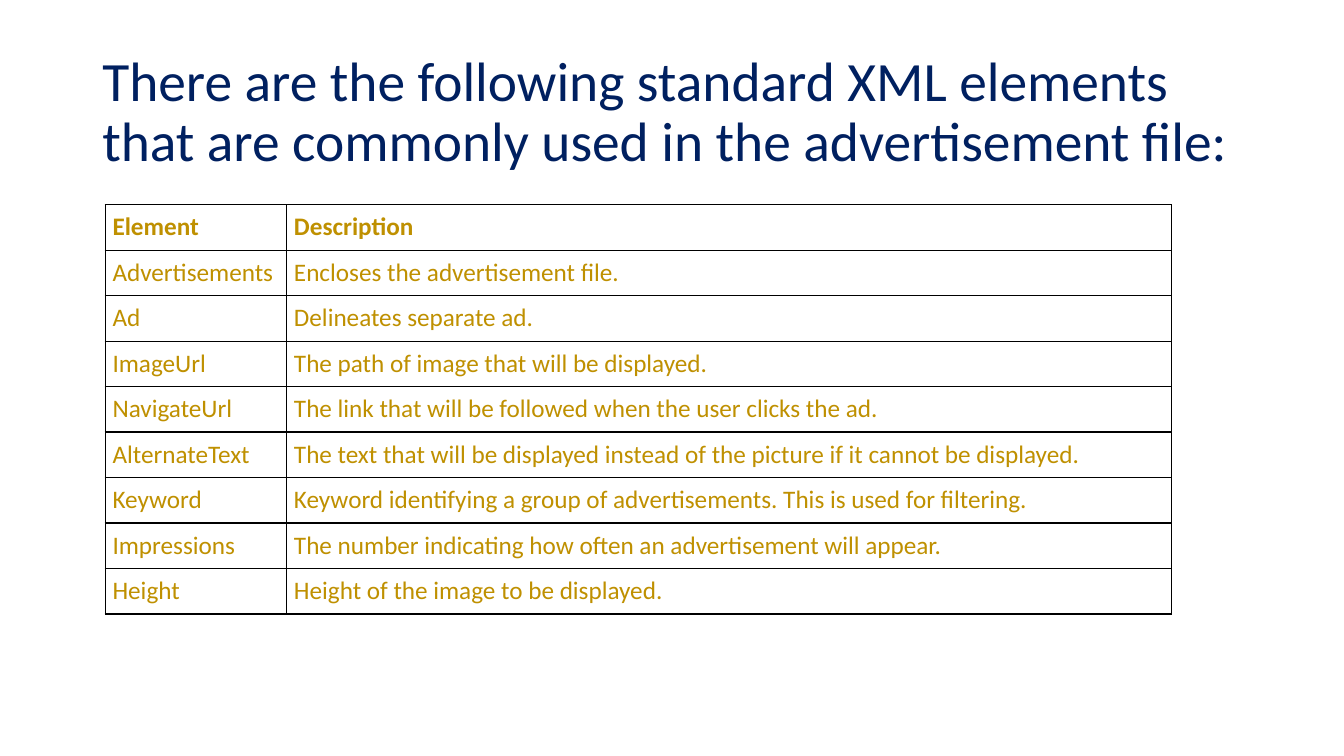
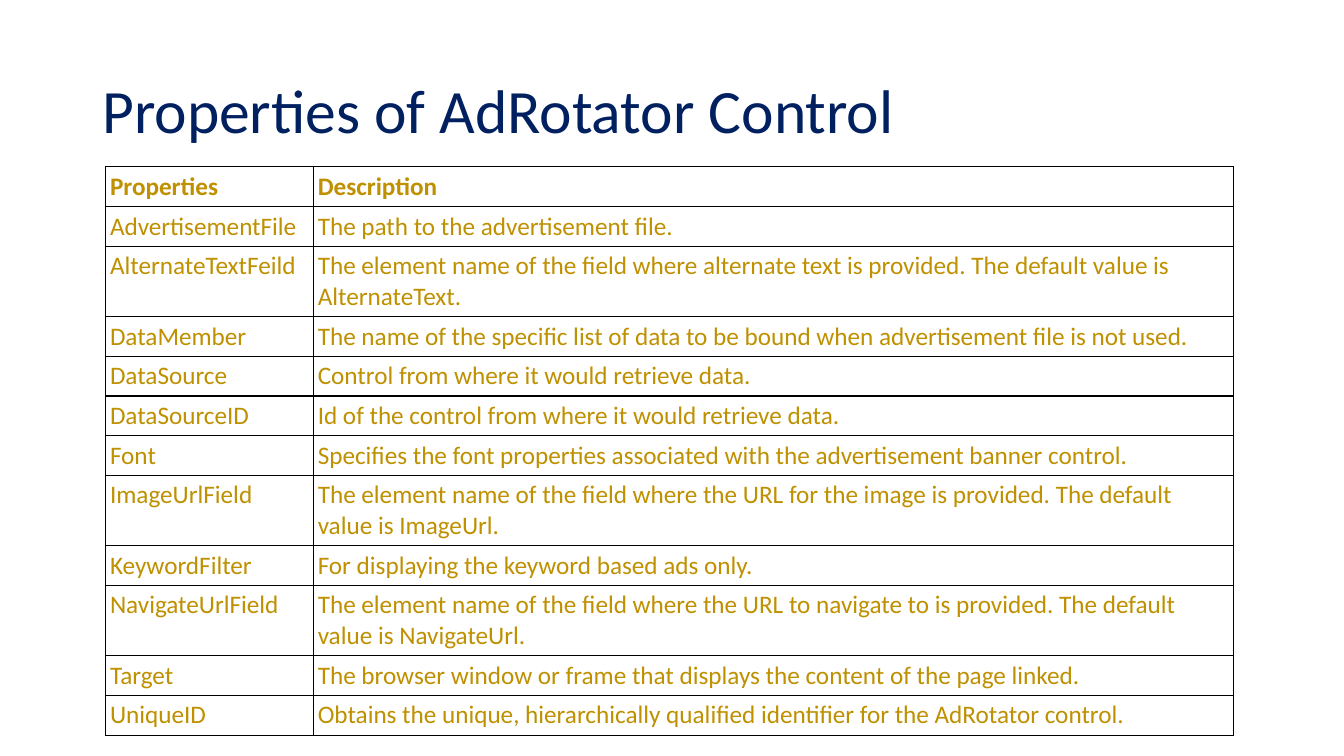
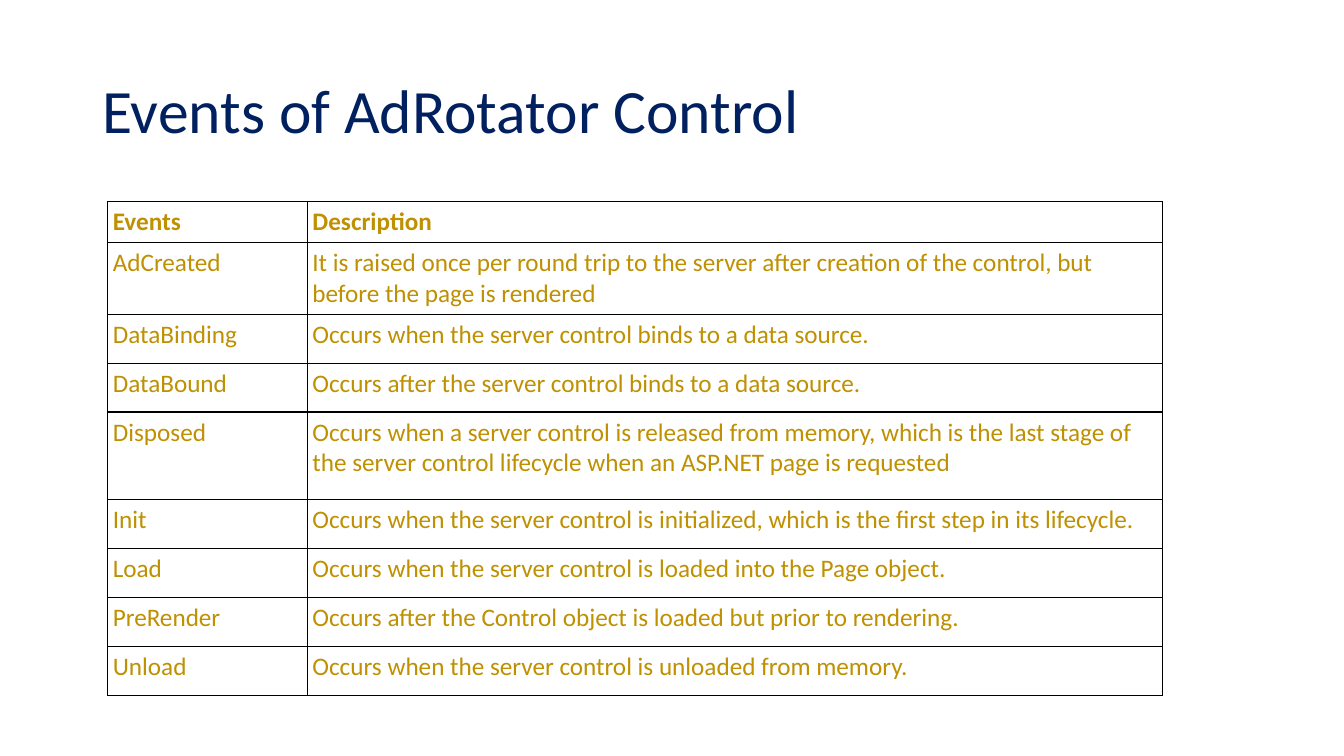
import pptx
import pptx.dml.color
import pptx.enum.text
import pptx.oxml
import pptx.oxml.ns
import pptx.util

Pt = pptx.util.Pt
COLORS = {"background": "FFFFFF", "title": "002060", "table_text": "BF9000", "border": "000000"}
FONT = "Calibri"
TITLE_BOX = (66, 28.8, 828, 104.4)
BORDER_WIDTH = 1

ELEMENTS = [
    ("Element", "Description"),
    ("Advertisements", "Encloses the advertisement file."),
    ("Ad", "Delineates separate ad."),
    ("ImageUrl", "The path of image that will be displayed."),
    ("NavigateUrl", "The link that will be followed when the user clicks the ad."),
    ("AlternateText", "The text that will be displayed instead of the picture if it cannot be displayed."),
    ("Keyword", "Keyword identifying a group of advertisements. This is used for filtering."),
    ("Impressions", "The number indicating how often an advertisement will appear."),
    ("Height", "Height of the image to be displayed."),
]
PROPERTIES = [
    ("Properties", "Description"),
    ("AdvertisementFile", "The path to the advertisement file."),
    ("AlternateTextFeild",
     "The element name of the field where alternate text is provided. The default value is AlternateText."),
    ("DataMember", "The name of the specific list of data to be bound when advertisement file is not used."),
    ("DataSource", "Control from where it would retrieve data."),
    ("DataSourceID", "Id of the control from where it would retrieve data."),
    ("Font", "Specifies the font properties associated with the advertisement banner control."),
    ("ImageUrlField",
     "The element name of the field where the URL for the image is provided. The default value is ImageUrl."),
    ("KeywordFilter", "For displaying the keyword based ads only."),
    ("NavigateUrlField",
     "The element name of the field where the URL to navigate to is provided. The default value is NavigateUrl."),
    ("Target", "The browser window or frame that displays the content of the page linked."),
    ("UniqueID", "Obtains the unique, hierarchically qualified identifier for the AdRotator control."),
]
EVENTS = [
    ("Events", "Description"),
    ("AdCreated",
     "It is raised once per round trip to the server after creation of the control, "
     "but before the page is rendered"),
    ("DataBinding", "Occurs when the server control binds to a data source."),
    ("DataBound", "Occurs after the server control binds to a data source."),
    ("Disposed",
     "Occurs when a server control is released from memory, which is the last stage of "
     "the server control lifecycle when an ASP.NET page is requested"),
    ("Init", "Occurs when the server control is initialized, which is the first step in its lifecycle."),
    ("Load", "Occurs when the server control is loaded into the Page object."),
    ("PreRender", "Occurs after the Control object is loaded but prior to rendering."),
    ("Unload", "Occurs when the server control is unloaded from memory."),
]


def write_text(text_frame, text, *, size, color, bold=False, line_spacing=None):
    paragraph = text_frame.paragraphs[0]
    paragraph.line_spacing = line_spacing
    run = paragraph.add_run()
    run.text = text
    run.font.name = FONT
    run.font.size = Pt(size)
    run.font.bold = bold
    run.font.color.rgb = pptx.dml.color.RGBColor.from_string(COLORS[color])


def add_slide(presentation, title, title_size=44):
    slide = presentation.slides.add_slide(presentation.slide_layouts[6])
    slide.background.fill.solid()
    slide.background.fill.fore_color.rgb = pptx.dml.color.RGBColor.from_string(COLORS["background"])
    text_frame = slide.shapes.add_textbox(*map(Pt, TITLE_BOX)).text_frame
    text_frame.word_wrap = True
    text_frame.vertical_anchor = pptx.enum.text.MSO_ANCHOR.MIDDLE
    write_text(text_frame, title, size=title_size, color="title", line_spacing=0.9)
    return slide


def add_borders(cell):
    properties = cell._tc.get_or_add_tcPr()
    for side in ("lnL", "lnR", "lnT", "lnB"):
        properties.append(pptx.oxml.parse_xml(
            f'<a:{side} {pptx.oxml.ns.nsdecls("a")} w="{Pt(BORDER_WIDTH)}">'
            f'<a:solidFill><a:srgbClr val="{COLORS["border"]}"/></a:solidFill></a:{side}>'))


def format_cell(cell, text, inset, bold):
    cell.margin_left = cell.margin_right = cell.margin_top = cell.margin_bottom = Pt(inset)
    add_borders(cell)
    cell.fill.background()
    write_text(cell.text_frame, text, size=18, color="table_text", bold=bold)


def add_grid(slide, rows, *, left, top, column_widths, row_height, inset, special_heights=None):
    """Add a bordered table; special_heights maps row numbers to other heights."""
    special_heights = special_heights or {}
    heights = [special_heights.get(number, row_height) for number in range(len(rows))]
    table = slide.shapes.add_table(
        len(rows), len(column_widths), Pt(left), Pt(top),
        Pt(sum(column_widths)), Pt(sum(heights))).table
    table.first_row = table.horz_banding = False
    for column, width in zip(table.columns, column_widths):
        column.width = Pt(width)
    for number, (row, height, texts) in enumerate(zip(table.rows, heights, rows)):
        row.height = Pt(height)
        for cell, text in zip(row.cells, texts):
            format_cell(cell, text, inset, bold=number == 0)


def main():
    presentation = pptx.Presentation()
    presentation.slide_width = Pt(960)
    presentation.slide_height = Pt(540)

    slide = add_slide(
        presentation,
        "There are the following standard XML elements that are commonly used in the advertisement file:",
        title_size=39.6)
    add_grid(slide, ELEMENTS, left=75.2, top=146.2, column_widths=(129.6, 632.2),
             row_height=32.5, inset=5.2)

    slide = add_slide(presentation, "Properties of AdRotator Control")
    add_grid(slide, PROPERTIES, left=75.4, top=119.2, column_widths=(148.4, 657.4),
             row_height=28.4, inset=3.2, special_heights=dict.fromkeys((2, 7, 9), 50.2))

    slide = add_slide(presentation, "Events of AdRotator Control")
    add_grid(slide, EVENTS, left=77, top=144, column_widths=(142.6, 610.6),
             row_height=35, inset=3.6, special_heights={0: 29.2, 1: 51.2, 4: 62.6})

    presentation.save("out.pptx")


if __name__ == "__main__":
    main()
